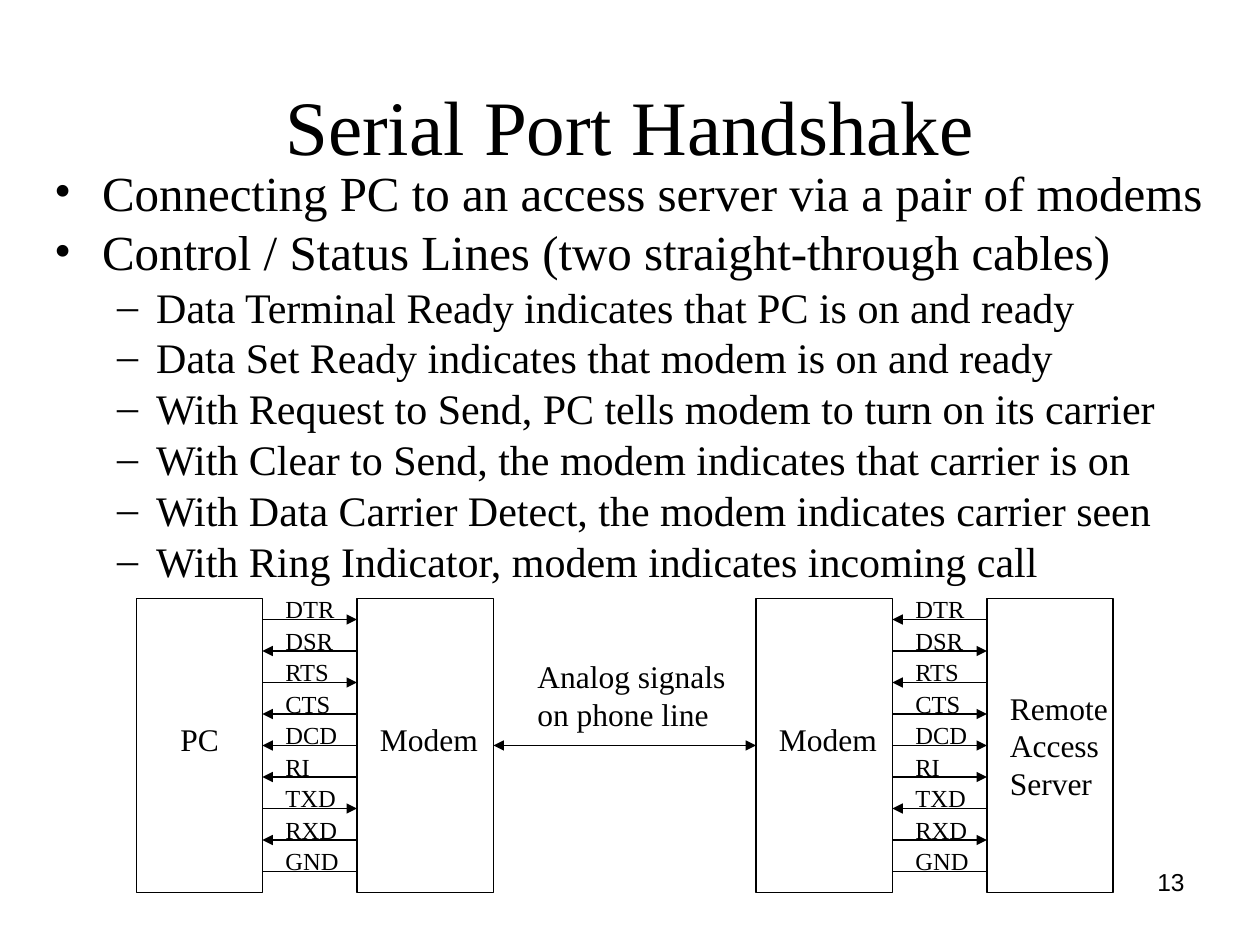
from lxml.etree import SubElement
from pptx import Presentation
from pptx.dml.color import RGBColor
from pptx.enum.shapes import MSO_CONNECTOR, MSO_SHAPE
from pptx.enum.text import MSO_ANCHOR, MSO_AUTO_SIZE, PP_ALIGN
from pptx.oxml.ns import qn
from pptx.util import Inches, Pt

INK = "000000"
SERIF = "Times New Roman"
TITLE = "Serial Port Handshake"
POINTS = [
    (0, "Connecting PC to an access server via a pair of modems"),
    (0, "Control / Status Lines (two straight-through cables)"),
    (1, "Data Terminal Ready indicates that PC is on and ready"),
    (1, "Data Set Ready indicates that modem is on and ready"),
    (1, "With Request to Send, PC tells modem to turn on its carrier"),
    (1, "With Clear to Send, the modem indicates that carrier is on"),
    (1, "With Data Carrier Detect, the modem indicates carrier seen"),
    (1, "With Ring Indicator, modem indicates incoming call"),
]
LEVELS = [("•", 28, 7, 0.38, -0.38), ("–", 24, 6, 0.81, -0.31)]

DEVICES = [
    (13, 12, 16, 0.52, ["PC"]),
    (34, 13, 35, 0.98, ["Modem"]),
    (72, 13, 73, 0.98, ["Modem"]),
    (94, 12, 95, 0.98, ["Remote", "Access", "Server"]),
]
DEVICE_TOP, DEVICE_ROWS = 57, 28
MIDDLE = DEVICE_TOP + DEVICE_ROWS / 2
SIGNALS = [
    ("DTR", 0.59, "modem"), ("DSR", 0.58, "terminal"), ("RTS", 0.56, "modem"),
    ("CTS", 0.56, "terminal"), ("DCD", 0.61, "terminal"), ("RI", 0.4, "terminal"),
    ("TXD", 0.6, "modem"), ("RXD", 0.61, "terminal"), ("GND", 0.62, None),
]
SIGNAL_TOP, SIGNAL_STEP = 59, 3
LEFT, RIGHT = 1, 3


def grid(cells):
    """Turn diagram cells, twelfths of an inch, into a length."""
    return Inches(cells / 12)


def color(value):
    """Turn a hex string into a colour."""
    return RGBColor.from_string(value)


def add_run(paragraph, words, size, face=SERIF):
    """Add one run of text."""
    run = paragraph.add_run()
    run.text = words
    run.font.size, run.font.name = Pt(size), face
    run.font.color.rgb = color(INK)


def add_label(slide, column, row, width, lines, size):
    """Add an unwrapped label, one paragraph a line."""
    height = len(lines) * size * 1.2 / 72 + 0.1
    label = slide.shapes.add_textbox(grid(column), grid(row), Inches(width), Inches(height))
    frame = label.text_frame
    frame.word_wrap = False
    frame.auto_size = MSO_AUTO_SIZE.SHAPE_TO_FIT_TEXT
    for index, words in enumerate(lines):
        paragraph = frame.add_paragraph() if index else frame.paragraphs[0]
        add_run(paragraph, words, size)


def add_device(slide, column, columns):
    """Add the outlined box of a device."""
    device = slide.shapes.add_shape(
        MSO_SHAPE.RECTANGLE, grid(column), grid(DEVICE_TOP), grid(columns), grid(DEVICE_ROWS))
    device.shadow.inherit = False
    device.fill.background()
    device.line.color.rgb = color(INK)
    device.line.width = Pt(0.75)
    return device


def add_wire(slide, start, end, row, heads):
    """Draw a wire between two (device, side) ends, joined when it runs at mid height."""
    columns = [device.left + (device.width if side == RIGHT else 0) for device, side in (start, end)]
    wire = slide.shapes.add_connector(
        MSO_CONNECTOR.STRAIGHT, columns[0], grid(row), columns[1], grid(row))
    if row == MIDDLE:
        wire.begin_connect(*start)
        wire.end_connect(*end)
    wire.line.color.rgb = color(INK)
    wire.line.width = Pt(0.75)
    outline = wire.line._get_or_add_ln()
    for head in heads:
        SubElement(outline, qn(f"a:{head}"), type="triangle")
    SubElement(wire._element.spPr, qn("a:effectLst"))


def place(placeholder, left, top, width, height, anchor):
    """Move a placeholder and return its text frame."""
    placeholder.left, placeholder.top = Inches(left), Inches(top)
    placeholder.width, placeholder.height = Inches(width), Inches(height)
    frame = placeholder.text_frame
    frame.word_wrap = True
    frame.auto_size = MSO_AUTO_SIZE.NONE
    frame.vertical_anchor = anchor
    return frame


def add_points(frame):
    """Fill the body with bulleted points."""
    for index, (level, words) in enumerate(POINTS):
        bullet, size, before, margin, indent = LEVELS[level]
        paragraph = frame.add_paragraph() if index else frame.paragraphs[0]
        paragraph.level = level
        properties = paragraph._p.get_or_add_pPr()
        properties.set("marL", str(Inches(margin)))
        properties.set("indent", str(Inches(indent)))
        SubElement(properties, qn("a:buFont"), typeface=SERIF)
        SubElement(properties, qn("a:buChar"), char=bullet)
        paragraph.line_spacing = 0.8
        paragraph.space_before = Pt(before if index else 0)
        add_run(paragraph, words, size)


def add_diagram(slide):
    """Draw the devices, the phone line and the two cables."""
    devices = []
    for column, columns, label_column, width, lines in DEVICES:
        devices.append(add_device(slide, column, columns))
        add_label(slide, label_column, 65 if len(lines) > 1 else 68, width, lines, 18)
    pc, near_modem, far_modem, server = devices
    add_wire(slide, (near_modem, RIGHT), (far_modem, LEFT), MIDDLE, ["headEnd", "tailEnd"])
    add_label(slide, 50, 62, 1.69, ["Analog signals", "on phone line"], 18)

    cables = [
        (26, (pc, RIGHT), (near_modem, LEFT)),
        (86, (server, LEFT), (far_modem, RIGHT)),
    ]
    for label_column, terminal, modem in cables:
        for index, (signal, width, receiver) in enumerate(SIGNALS):
            row = SIGNAL_TOP + index * SIGNAL_STEP
            start, end = (modem, terminal) if receiver == "terminal" else (terminal, modem)
            add_wire(slide, start, end, row, ["tailEnd"] if receiver else [])
            add_label(slide, label_column, row - SIGNAL_STEP, width, [signal], 14)


def main():
    """Build and save the slide."""
    deck = Presentation()
    deck.slide_width, deck.slide_height = Inches(10), Inches(7.5)
    slide = deck.slides.add_slide(deck.slide_layouts[1])

    title = place(slide.shapes.title, 0.5, 0.17, 9, 1.25, MSO_ANCHOR.BOTTOM).paragraphs[0]
    title.alignment = PP_ALIGN.CENTER
    title.line_spacing = 0.9
    add_run(title, TITLE, 44)
    add_points(place(slide.placeholders[1], 0.33, 1.33, 9.33, 3.58, MSO_ANCHOR.TOP))
    add_diagram(slide)

    number_box = slide.shapes.add_textbox(Inches(7.17), Inches(6.83), Inches(2.33), Inches(0.52))
    number_box.text_frame.word_wrap = True
    number = number_box.text_frame.paragraphs[0]
    number.alignment = PP_ALIGN.RIGHT
    add_run(number, "13", 14, "Arial")

    deck.save("out.pptx")


if __name__ == "__main__":
    main()
